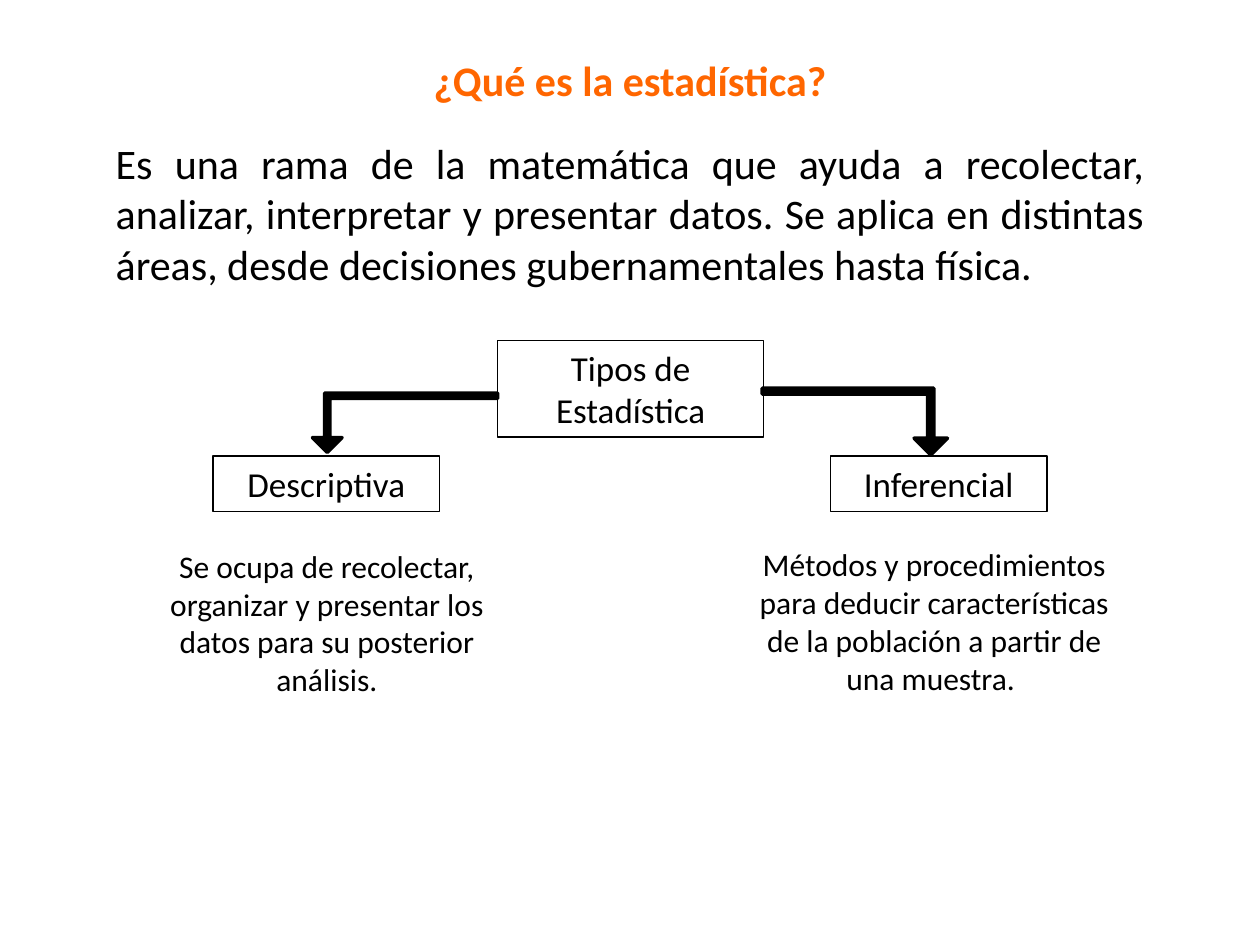
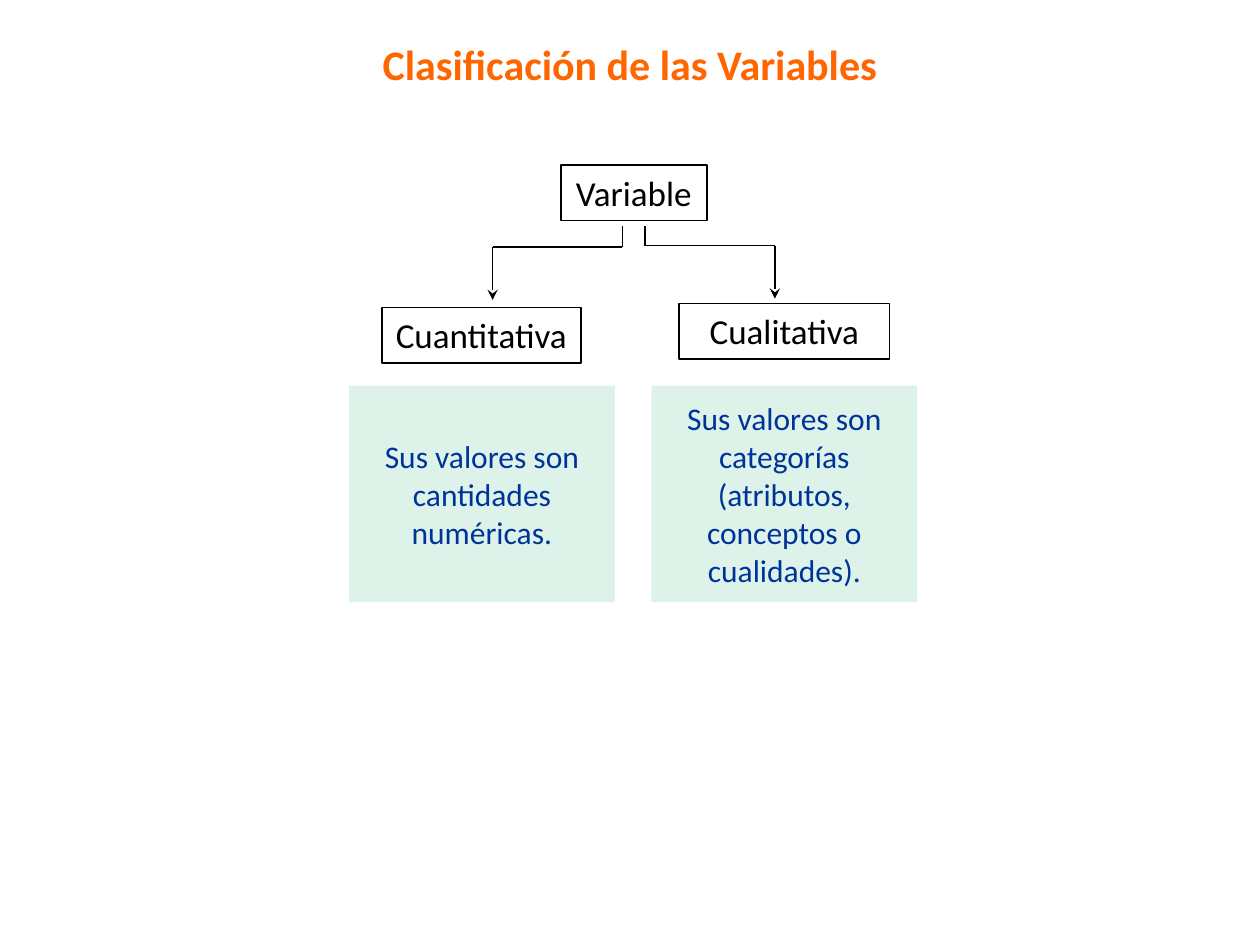
from lxml import etree
from pptx import Presentation, util as u
from pptx.dml.color import RGBColor
from pptx.enum import shapes, text
from pptx.oxml.ns import qn

W, H = 10, 7.5
FONT = "Calibri"
COLORS = {"title": "FF6600", "ink": "000000", "note": "003399", "panel": "DDF3EA"}
SIZES = {"title": 24, "body": 24, "node": 20, "note": 18}

TITLES = [("¿Qué es la estadística?", 8.43, 0.38),
          ("Clasificación de las Variables", 6.71, 0.26)]
DEFINITION = ("Es una rama de la matemática que ayuda a recolectar, analizar, "
              "interpretar y presentar datos. Se aplica en distintas áreas, "
              "desde decisiones gubernamentales hasta física.")
TYPE_NODES = [("Tipos de Estadística", (3.95, 2.7, 2.11, 0.77)),
              ("Descriptiva", (1.69, 3.62, 1.8, 0.44)),
              ("Inferencial", (6.59, 3.62, 1.72, 0.44))]
TYPE_NOTES = [("Se ocupa de recolectar, organizar y presentar los datos para su "
               "posterior análisis.", 1.01, 4.29),
              ("Métodos y procedimientos para deducir características de la "
               "población a partir de una muestra. ", 5.83, 4.28)]
TYPE_ARROWS = [((2.48, 3.12, 1.47, 0.47), False), ((6.05, 3.08, 1.47, 0.53), True)]
VARIABLE_NODES = [("Variable", (4.45, 1.31, 1.16, 0.44), False),
                  ("Cuantitativa", (3.03, 2.44, 1.58, 0.44), False),
                  ("Cualitativa", (5.39, 2.41, 1.67, 0.44), True)]
BRANCHES = [(4.94, 3.91, 1.96), (5.12, 6.15, 1.95)]
BRANCH_TOP, BRANCH_DROP = 1.79, 0.42
PANELS = ["Sus valores son cantidades numéricas.",
          "Sus valores son categorías (atributos, conceptos o cualidades)."]
PANEL_LEFT, PANEL_STEP = 2.77, 2.4


def rgb(name):
    return RGBColor.from_string(COLORS[name])


def inches(box):
    return [u.Inches(v) for v in box]


def write(sp, words, style, color="ink", align="CENTER", anchor="TOP", wrap=True):
    tf = sp.text_frame
    tf.text = words
    tf.word_wrap = wrap
    tf.vertical_anchor = getattr(text.MSO_ANCHOR, anchor)
    p = tf.paragraphs[0]
    p.alignment = getattr(text.PP_ALIGN, align)
    font = p.runs[0].font
    font.name, font.size = FONT, u.Pt(SIZES[style])
    font.bold = style == "title"
    font.color.rgb = rgb(color)


def add_text(s, box, words, style, **kw):
    write(s.shapes.add_textbox(*inches(box)), words, style, **kw)


def add_shape(s, box, kind="RECTANGLE", fill=None, line=None):
    sp = s.shapes.add_shape(getattr(shapes.MSO_SHAPE, kind), *inches(box))
    sp.shadow.inherit = False
    if fill:
        sp.fill.solid()
        sp.fill.fore_color.rgb = rgb(fill)
    else:
        sp.fill.background()
    if line:
        sp.line.color.rgb = rgb("ink")
        sp.line.width = u.Pt(line)
    else:
        sp.line.fill.background()
    return sp


def add_line(s, start, end, arrow=False):
    c = s.shapes.add_connector(shapes.MSO_CONNECTOR.STRAIGHT, *inches(start + end))
    c.line.color.rgb = rgb("ink")
    c.line.width = u.Pt(0.75)
    if arrow:
        etree.SubElement(c.line._get_or_add_ln(), qn("a:tailEnd"), type="stealth")
    etree.SubElement(c._element.spPr, qn("a:effectLst"))


def add_slide(prs, title, width, top):
    s = prs.slides.add_slide(prs.slide_layouts[6])
    add_text(s, ((W - width) / 2, top, width, 0.5), title, "title", color="title")
    return s


def build_types(s):
    add_text(s, (0.82, 1.04, 8.36, 1.31), DEFINITION, "body", align="JUSTIFY")
    for words, box in TYPE_NODES:
        write(add_shape(s, box, line=0.75), words, "node")
    for words, left, top in TYPE_NOTES:
        add_text(s, (left, top, 3.17, 1.31), words, "note")
    for box, flipped in TYPE_ARROWS:
        sp = add_shape(s, box, "BENT_UP_ARROW", "ink", 2)
        sp.rotation = 180
        sp.adjustments[0] = 0.09
        if flipped:
            sp._element.spPr.xfrm.set("flipH", "1")


def build_variables(s):
    for words, box, wrap in VARIABLE_NODES:
        write(add_shape(s, box, line=1), words, "node", wrap=wrap)
    for inner, outer, bend in BRANCHES:
        add_line(s, (inner, BRANCH_TOP), (inner, bend))
        add_line(s, (inner, bend), (outer, bend))
        add_line(s, (outer, bend), (outer, bend + BRANCH_DROP), arrow=True)
    for i, words in enumerate(PANELS):
        sp = add_shape(s, (PANEL_LEFT + i * PANEL_STEP, 3.06, 2.11, 1.72), fill="panel")
        write(sp, words, "note", color="note", anchor="MIDDLE")


def main():
    """Build the two statistics slides."""
    prs = Presentation()
    prs.slide_width, prs.slide_height = inches((W, H))
    for title, build in zip(TITLES, (build_types, build_variables)):
        build(add_slide(prs, *title))
    prs.save("out.pptx")


if __name__ == "__main__":
    main()
